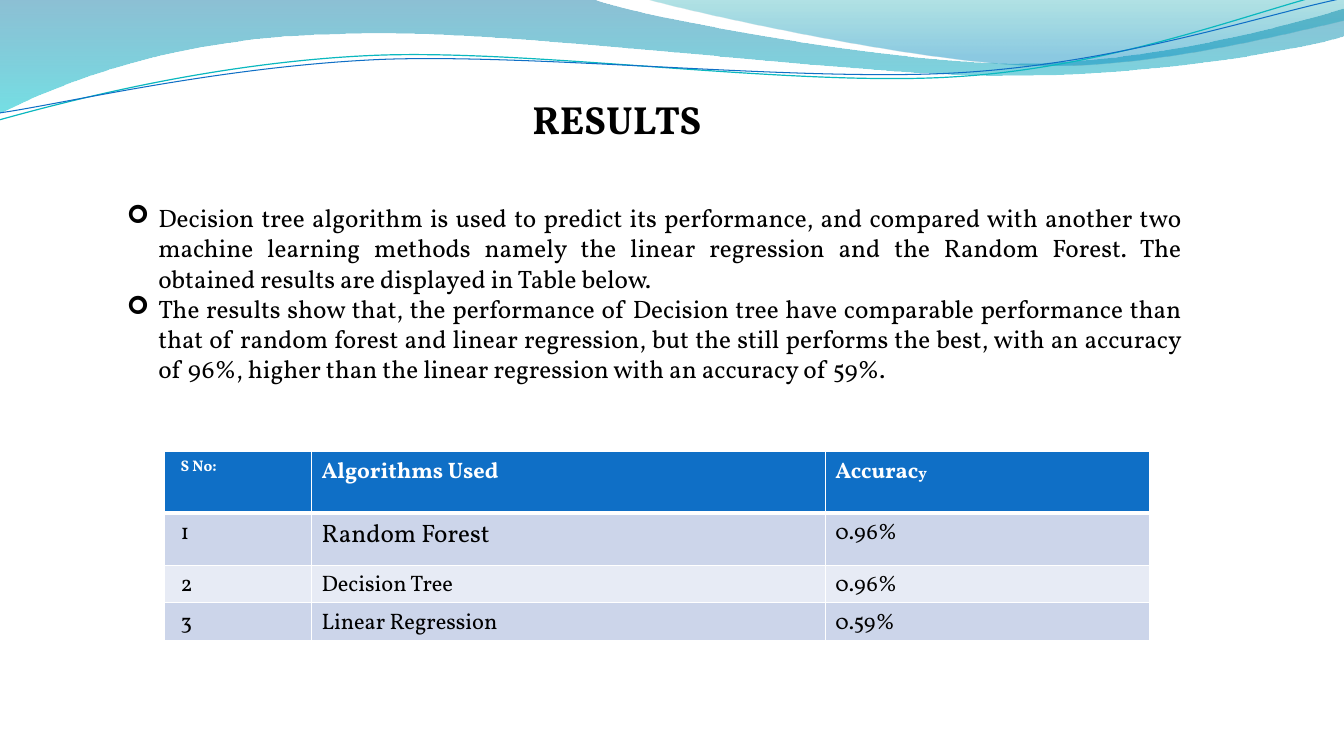
import pptx
import pptx.dml.color
import pptx.enum.text
import pptx.oxml
import pptx.oxml.ns
import pptx.util
from pptx.util import Cm, Pt

FONT = "Vollkorn"
BLACK, WHITE, BLUE, TEAL = "000000", "FFFFFF", "0F6FC6", "0AB8BF"
BANDS = ("CCD5EA", "E7EBF5")

TITLE = "RESULTS"
FINDINGS = [
    "Decision tree algorithm is used to predict its performance, and compared with another two "
    "machine learning methods namely the linear regression and the Random Forest. The obtained "
    "results are displayed in Table below. ",
    "The results show that, the performance of Decision tree have comparable performance than "
    "that of random forest and linear regression, but the still performs the best, with an "
    "accuracy of 96%, higher than the linear regression with an accuracy of 59%.",
]
# Each cell is a list of (text, size) runs.
TABLE = [
    [[("S No:", 11)], [("Algorithms Used", 16)], [("Accurac", 16), ("y", 11)]],
    [[("1", 16)], [("Random Forest", 18)], [("0.96%", 16)]],
    [[("2", 16)], [("Decision Tree", 16)], [("0.96%", 16)]],
    [[("3", 16)], [("Linear Regression", 16)], [("0.59%", 16)]],
]
COLUMN_WIDTHS = (3.7, 12.95, 8.18)
ROW_HEIGHTS = (1.55, 1.32, 0.94, 0.94)

# Wave outlines in inches: a pair is a straight step, six numbers are a cubic curve.
BANDS_OF_WAVE = [
    ([(0, 0), (5.87, -0.01), (6.34, 0.17, 8.85, 0.63, 10.11, 0.63),
      (11.38, 0.63, 12.78, 0.26, 13.33, 0.09), (13.35, 0.36),
      (13.11, 0.44, 11.6, 0.76, 9.94, 0.75), (8.29, 0.75, 5.09, 0.28, 3.43, 0.34),
      (1.72, 0.36, 0.61, 0.83, -0.01, 1.13), (0, 0)],
     [(0, "0074A1", 45), (1, "00C6CF", 55)]),
    ([(6.39, -0.01), (6.79, 0.11, 9.09, 0.62, 10.25, 0.65),
      (11.41, 0.69, 12.82, 0.32, 13.33, 0.21), (13.33, 0), (6.39, -0.01)],
     [(0, "00A1A9", 30), (0.8, "008BBF", 45)]),
]
LINES_OF_WAVE = [
    ([(-0.01, 1.19), (0.64, 1.01, 2.11, 0.62, 3.69, 0.55),
      (5.27, 0.48, 7.9, 0.87, 9.5, 0.76), (11.1, 0.66, 12.52, 0.08, 13.31, -0.1)], TEAL, 0.85),
    ([(0, 1.12), (0.63, 1.03, 2.18, 0.66, 3.78, 0.59),
      (5.37, 0.53, 7.96, 0.82, 9.55, 0.72), (11.15, 0.62, 12.55, 0.14, 13.34, -0.02)], BLUE, 0.75),
]


def rgb(color):
    return pptx.dml.color.RGBColor.from_string(color)


def parse_drawing(tag, attributes="", content=""):
    namespace = pptx.oxml.ns.nsdecls("a")
    return pptx.oxml.parse_xml(f"<a:{tag} {namespace} {attributes}>{content}</a:{tag}>")


def add_run(paragraph, text, size, color=BLACK, bold=False):
    run = paragraph.add_run()
    run.text = text
    run.font.name, run.font.size, run.font.bold = FONT, Pt(size), bold
    run.font.color.rgb = rgb(color)


def add_outline(slide, outline, close):
    """Draw the steps as straight segments, then join each curve's three into one cubic."""
    points = [(Cm(2.54 * step[k]), Cm(2.54 * step[k + 1]))
              for step in outline for k in range(0, len(step), 2)]
    builder = slide.shapes.build_freeform(*points[0])
    builder.add_line_segments(points[1:], close=close)
    shape = builder.convert_to_shape()
    shape.shadow.inherit = False
    segments = iter(list(shape._element.iter(pptx.oxml.ns.qn("a:lnTo"))))
    for step in outline[1:]:
        parts = [next(segments) for _ in range(len(step) // 2)]
        if len(parts) == 3:
            curve = parse_drawing("cubicBezTo")
            parts[0].addprevious(curve)
            for part in parts:
                curve.append(part[0])
                part.getparent().remove(part)
    return shape


def add_waves(slide):
    for outline, stops in BANDS_OF_WAVE:
        shape = add_outline(slide, outline, True)
        shape.line.fill.background()
        shape.fill.gradient()
        shape.fill.gradient_angle = 270
        for stop, (position, color, _) in zip(shape.fill.gradient_stops, stops):
            stop.position = position
            stop.color.rgb = rgb(color)
        gradient = shape._element.spPr.find(pptx.oxml.ns.qn("a:gradFill"))
        colors = gradient.iter(pptx.oxml.ns.qn("a:srgbClr"))
        for element, (_, _, opacity) in zip(list(colors), stops):
            element.append(parse_drawing("alpha", f'val="{opacity * 1000}"'))
    for outline, color, width in LINES_OF_WAVE:
        shape = add_outline(slide, outline, False)
        shape.fill.background()
        shape.line.color.rgb = rgb(color)
        shape.line.width = Pt(width)


def add_title(slide):
    title = slide.shapes.title
    title.left, title.top, title.width, title.height = Cm(13.16), Cm(2.27), Cm(5.38), Cm(1.45)
    frame = title.text_frame
    frame.word_wrap = False
    frame.auto_size = pptx.enum.text.MSO_AUTO_SIZE.NONE
    frame.vertical_anchor = pptx.enum.text.MSO_ANCHOR.TOP
    paragraph = frame.paragraphs[0]
    paragraph.alignment = pptx.enum.text.PP_ALIGN.LEFT
    add_run(paragraph, TITLE, 28, bold=True)


def add_findings(slide):
    frame = slide.shapes.add_textbox(Cm(2.95), Cm(4.98), Cm(27.08), Cm(4.88)).text_frame
    frame.word_wrap = True
    for i, finding in enumerate(FINDINGS):
        paragraph = frame.add_paragraph() if i else frame.paragraphs[0]
        paragraph.alignment = pptx.enum.text.PP_ALIGN.JUSTIFY
        add_run(paragraph, finding, 18)
        properties = paragraph._p.get_or_add_pPr()
        properties.set("marL", str(Cm(0.79)))
        properties.set("indent", str(-Cm(0.79)))
        properties.append(parse_drawing("buFont", 'typeface="Wingdings" charset="2"'))
        properties.append(parse_drawing("buChar", 'char="➢"'))


def set_borders(cell, widths):
    fill = f'<a:solidFill><a:srgbClr val="{WHITE}"/></a:solidFill>'
    for side, width in widths.items():
        cell._tc.get_or_add_tcPr().append(parse_drawing(f"ln{side}", f'w="{Pt(width)}"', fill))


def add_results(slide):
    table = slide.shapes.add_table(
        len(ROW_HEIGHTS), len(COLUMN_WIDTHS), Cm(4.15), Cm(11.38),
        Cm(sum(COLUMN_WIDTHS)), Cm(sum(ROW_HEIGHTS))).table
    for column, width in zip(table.columns, COLUMN_WIDTHS):
        column.width = Cm(width)
    for r, cells in enumerate(TABLE):
        table.rows[r].height = Cm(ROW_HEIGHTS[r])
        header = r == 0
        for c, runs in enumerate(cells):
            cell = table.cell(r, c)
            cell.margin_bottom = 0
            set_borders(cell, {"L": 1, "R": 1, "T": 3 if r == 1 else 1, "B": 3 if header else 1})
            cell.fill.solid()
            cell.fill.fore_color.rgb = rgb(BLUE if header else BANDS[(r - 1) % 2])
            paragraph = cell.text_frame.paragraphs[0]
            if c == 0:
                paragraph._p.get_or_add_pPr().set("marL", str(Cm(0.15)))
            for text, size in runs:
                add_run(paragraph, text, size, WHITE if header else BLACK, header)


def main():
    presentation = pptx.Presentation()
    presentation.slide_width, presentation.slide_height = Cm(33.87), Cm(19.05)
    slide = presentation.slides.add_slide(presentation.slide_layouts[5])
    add_waves(slide)
    add_title(slide)
    add_results(slide)
    add_findings(slide)
    presentation.save("out.pptx")


if __name__ == "__main__":
    main()
